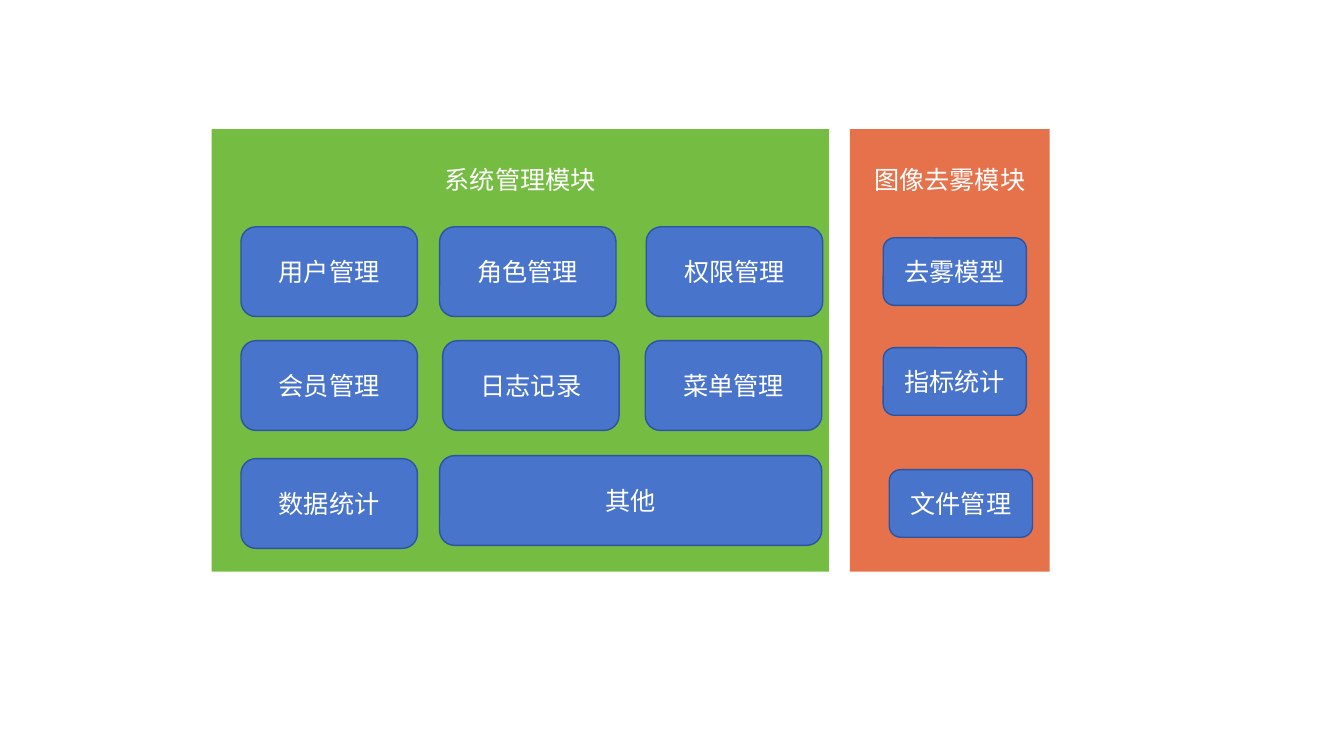
from dataclasses import dataclass

from pptx import Presentation
from pptx.dml.color import RGBColor
from pptx.enum.shapes import MSO_SHAPE as Shape
from pptx.enum.text import MSO_ANCHOR as Anchor, PP_ALIGN as Align
from pptx.util import Inches, Pt


@dataclass(frozen=True)
class Theme:
    green: str = "75BD42"
    orange: str = "E6724B"
    blue: str = "4874CB"
    edge: str = "2E54A1"
    text: str = "FFFFFF"
    font: str = "Calibri"
    size: float = 18


THEME = Theme()

# Each box: label, column, row, columns spanned, nudge right, nudge down
MODULES = [
    {
        "title": "系统管理模块", "fill": THEME.green, "left": 2.1, "width": 6.12,
        "columns": (2.39, 4.36, 6.4), "rows": (2.25, 3.38, 4.52), "box": (1.75, 0.89),
        "boxes": [
            ("用户管理", 0, 0, 1, 0, 0),
            ("角色管理", 1, 0, 1, 0, 0),
            ("权限管理", 2, 0, 1, 0.01, 0),
            ("会员管理", 0, 1, 1, 0, 0),
            ("日志记录", 1, 1, 1, 0.03, 0),
            ("菜单管理", 2, 1, 1, 0, 0),
            ("数据统计", 0, 2, 1, 0, 0.03),
            ("其他", 1, 2, 2, 0, 0),
        ],
    },
    {
        "title": "图像去雾模块", "fill": THEME.orange, "left": 8.43, "width": 1.98,
        "columns": (8.76,), "rows": (2.36, 3.45, 4.66), "box": (1.42, 0.67),
        "boxes": [
            ("去雾模型", 0, 0, 1, 0, 0),
            ("指标统计", 0, 1, 1, 0, 0),
            ("文件管理", 0, 2, 1, 0.06, 0),
        ],
    },
]
PANEL_TOP, PANEL_HEIGHT, TITLE_INSET = 1.28, 4.39, 0.35


def write(sp, text, anchor=Anchor.MIDDLE, inset=0.05):
    tf = sp.text_frame
    tf.word_wrap = True
    tf.vertical_anchor = anchor
    tf.margin_top = Inches(inset)
    p = tf.paragraphs[0]
    p.alignment = Align.CENTER
    r = p.add_run()
    r.text = text
    r.font.name = THEME.font
    r.font.size = Pt(THEME.size)
    r.font.color.rgb = RGBColor.from_string(THEME.text)


def add_block(slide, kind, area, fill, edge=None):
    sp = slide.shapes.add_shape(kind, *map(Inches, area))
    sp.shadow.inherit = False
    sp.fill.solid()
    sp.fill.fore_color.rgb = RGBColor.from_string(fill)
    if edge:
        sp.line.color.rgb = RGBColor.from_string(edge)
        sp.line.width = Pt(1)
    else:
        sp.line.fill.background()
    return sp


def add_module(slide, module):
    panel = (module["left"], PANEL_TOP, module["width"], PANEL_HEIGHT)
    write(add_block(slide, Shape.RECTANGLE, panel, module["fill"]),
          module["title"], anchor=Anchor.TOP, inset=TITLE_INSET)
    columns, rows = module["columns"], module["rows"]
    box_width, box_height = module["box"]
    for label, col, row, span, dx, dy in module["boxes"]:
        width = columns[col + span - 1] - columns[col] + box_width
        area = (columns[col] + dx, rows[row] + dy, width, box_height)
        write(add_block(slide, Shape.ROUNDED_RECTANGLE, area, THEME.blue, THEME.edge), label)


def main():
    prs = Presentation()
    prs.slide_width, prs.slide_height = Inches(13.33), Inches(7.5)
    slide = prs.slides.add_slide(prs.slide_layouts[6])
    for module in MODULES:
        add_module(slide, module)
    prs.save("out.pptx")


if __name__ == "__main__":
    main()
